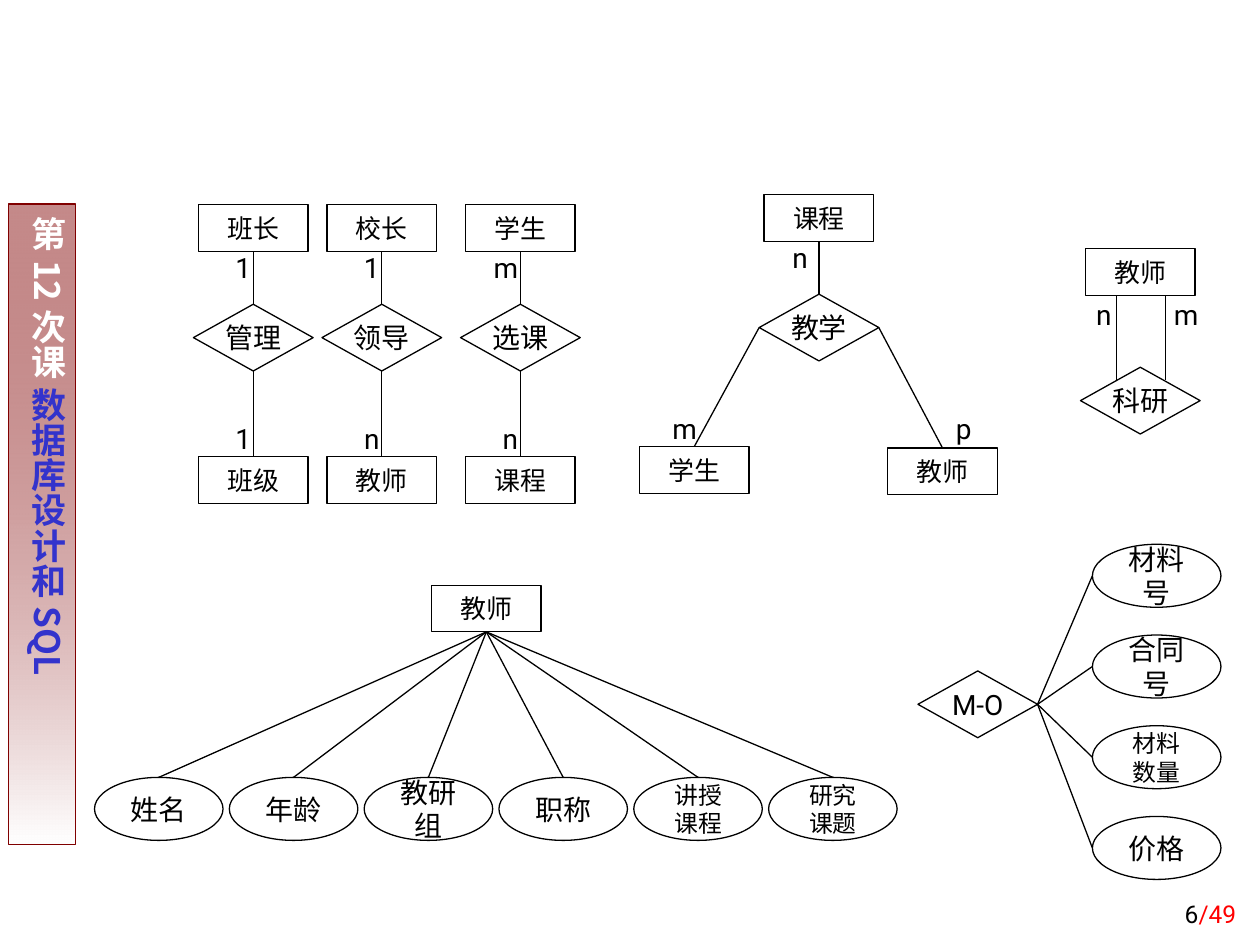
from lxml import etree
from pptx import Presentation
from pptx.dml.color import RGBColor
from pptx.enum.shapes import MSO_CONNECTOR, MSO_SHAPE
from pptx.enum.text import MSO_ANCHOR, PP_ALIGN
from pptx.oxml.ns import qn
from pptx.util import Inches, Pt

BLACK = RGBColor(0x00, 0x00, 0x00)
WHITE = RGBColor(0xFF, 0xFF, 0xFF)
RED = RGBColor(0xFF, 0x00, 0x00)
BLUE = RGBColor(0x33, 0x33, 0xCC)
MAROON = RGBColor(0x80, 0x00, 0x00)

RECTANGLE = MSO_SHAPE.RECTANGLE
DIAMOND = MSO_SHAPE.DIAMOND
OVAL = MSO_SHAPE.OVAL
STRAIGHT = MSO_CONNECTOR.STRAIGHT
CENTER, RIGHT = PP_ALIGN.CENTER, PP_ALIGN.RIGHT
MIDDLE, TOP_ANCHOR, BOTTOM_ANCHOR = MSO_ANCHOR.MIDDLE, MSO_ANCHOR.TOP, MSO_ANCHOR.BOTTOM

TOP, LEFT, BOTTOM, SIDE_RIGHT = 0, 1, 2, 3


def add_text(frame, *parts, size=16, font="Roboto", bold=False, align=CENTER,
             anchor=MIDDLE, margins=(0.1, 0.05), wrap=True):
    frame.word_wrap = wrap
    frame.vertical_anchor = anchor
    frame.margin_left = frame.margin_right = Inches(margins[0])
    frame.margin_top = frame.margin_bottom = Inches(margins[1])
    paragraph = frame.paragraphs[0]
    paragraph.alignment = align
    for text, color in parts:
        run = paragraph.add_run()
        run.text = text
        run.font.size = Pt(size)
        run.font.name = font
        run.font.bold = bold
        run.font.color.rgb = color
        east_asian = etree.SubElement(run.font._element, qn("a:ea"))
        east_asian.set("typeface", font)


class Diagram:
    def __init__(self, slide, color=BLACK, line_width=0.75):
        self.slide = slide
        self.color = color
        self.line_width = Pt(line_width)

    def node(self, kind, text, x, y, width, height, **style):
        shape = self.slide.shapes.add_shape(
            kind, Inches(x - width / 2), Inches(y - height / 2),
            Inches(width), Inches(height))
        shape.shadow.inherit = False
        shape.fill.background()
        shape.line.color.rgb = self.color
        shape.line.width = self.line_width
        add_text(shape.text_frame, (text, self.color), **style)
        return shape

    def entity(self, text, x, y):
        return self.node(RECTANGLE, text, x, y, 0.87, 0.37, size=14.8)

    def relation(self, text, x, y):
        return self.node(DIAMOND, text, x, y, 0.95, 0.53, margins=(0, 0))

    def attribute(self, text, x, y):
        size = 13.6 if len(text) > 3 else 16
        return self.node(OVAL, text, x, y, 1.02, 0.5, size=size)

    def label(self, text, right, top):
        box = self.slide.shapes.add_textbox(
            Inches(right - 0.4), Inches(top), Inches(0.4), Inches(0.37))
        add_text(box.text_frame, (text, self.color), align=RIGHT, anchor=TOP_ANCHOR)

    def line(self, x1, y1, x2, y2):
        connector = self.slide.shapes.add_connector(
            STRAIGHT, Inches(x1), Inches(y1), Inches(x2), Inches(y2))
        connector.line.color.rgb = self.color
        connector.line.width = self.line_width
        etree.SubElement(connector._element.spPr, qn("a:effectLst"))
        return connector

    def join(self, start, start_side, end, end_side):
        connector = self.line(0, 0, 1, 1)
        connector.begin_connect(start, start_side)
        connector.end_connect(end, end_side)

    def sidebar(self):
        shape = self.slide.shapes.add_shape(
            RECTANGLE, Inches(0.07), Inches(1.62), Inches(0.53), Inches(5.08))
        shape.shadow.inherit = False
        shape.line.color.rgb = MAROON
        shape.line.width = self.line_width
        shape.fill.gradient()
        shape.fill.gradient_angle = 270
        for stop, color, position in zip(shape.fill.gradient_stops, (MAROON, WHITE), (0, 1)):
            stop.color.rgb = color
            stop.position = position
        first_color = next(shape._element.spPr.iter(qn("a:srgbClr")))
        etree.SubElement(first_color, qn("a:alpha")).set("val", "46000")
        add_text(shape.text_frame, ("第12次课 ", WHITE), ("数据库设计和SQL", BLUE),
                 size=20, font="Noto Sans CJK SC", bold=True,
                 anchor=TOP_ANCHOR, margins=(0.05, 0.1))
        shape.text_frame._txBody.bodyPr.set("vert", "eaVert")

    def page_number(self):
        box = self.slide.shapes.add_textbox(
            Inches(7.83), Inches(6.92), Inches(2.08), Inches(0.5))
        add_text(box.text_frame, ("6", BLACK), ("/49", RED),
                 size=14, align=RIGHT, anchor=BOTTOM_ANCHOR)

    def binary_relations(self):
        columns = [
            (2.01, "班长", "1", "管理", "1", "班级"),
            (3.03, "校长", "1", "领导", "n", "教师"),
            (4.13, "学生", "m", "选课", "n", "课程"),
        ]
        for x, upper_text, upper_count, relation_text, lower_count, lower_text in columns:
            upper = self.entity(upper_text, x, 1.81)
            relation = self.relation(relation_text, x, 2.68)
            lower = self.entity(lower_text, x, 3.81)
            self.join(upper, BOTTOM, relation, TOP)
            self.join(relation, BOTTOM, lower, TOP)
            self.label(upper_count, x + 0.08, 1.94)
            self.label(lower_count, x + 0.08, 3.3)

    def teaching_relation(self):
        course = self.entity("课程", 6.5, 1.73)
        teaching = self.relation("教学", 6.5, 2.6)
        student = self.entity("学生", 5.51, 3.73)
        teacher = self.entity("教师", 7.48, 3.74)
        self.join(course, BOTTOM, teaching, TOP)
        self.join(teaching, LEFT, student, TOP)
        self.join(teaching, SIDE_RIGHT, teacher, TOP)
        for text, right, top in (("n", 6.51, 1.86), ("m", 5.63, 3.22), ("p", 7.81, 3.22)):
            self.label(text, right, top)

    def research_relation(self):
        self.entity("教师", 9.05, 2.16)
        self.relation("科研", 9.05, 3.18)
        for text, x, right in (("n", 8.86, 8.92), ("m", 9.25, 9.61)):
            self.line(x, 2.35, x, 3.02)
            self.label(text, right, 2.31)

    def teacher_attributes(self):
        teacher = self.entity("教师", 3.86, 4.83)
        names = ("姓名", "年龄", "教研组", "职称", "讲授课程", "研究课题")
        for index, name in enumerate(names):
            attribute = self.attribute(name, 1.26 + 1.07 * index, 6.42)
            self.join(teacher, BOTTOM, attribute, TOP)

    def order_attributes(self):
        order = self.relation("M-O", 7.76, 5.59)
        for index, name in enumerate(("材料号", "合同号", "材料数量", "价格")):
            y = 4.57 + 0.72 * index
            self.attribute(name, 9.18, y)
            connector = self.line(8.23, 5.59, 8.67, y)
            connector.begin_connect(order, SIDE_RIGHT)


def main():
    presentation = Presentation()
    presentation.slide_width = Inches(10)
    presentation.slide_height = Inches(7.5)
    diagram = Diagram(presentation.slides.add_slide(presentation.slide_layouts[6]))
    diagram.sidebar()
    diagram.page_number()
    diagram.binary_relations()
    diagram.teaching_relation()
    diagram.research_relation()
    diagram.teacher_attributes()
    diagram.order_attributes()
    presentation.save("out.pptx")


if __name__ == "__main__":
    main()
